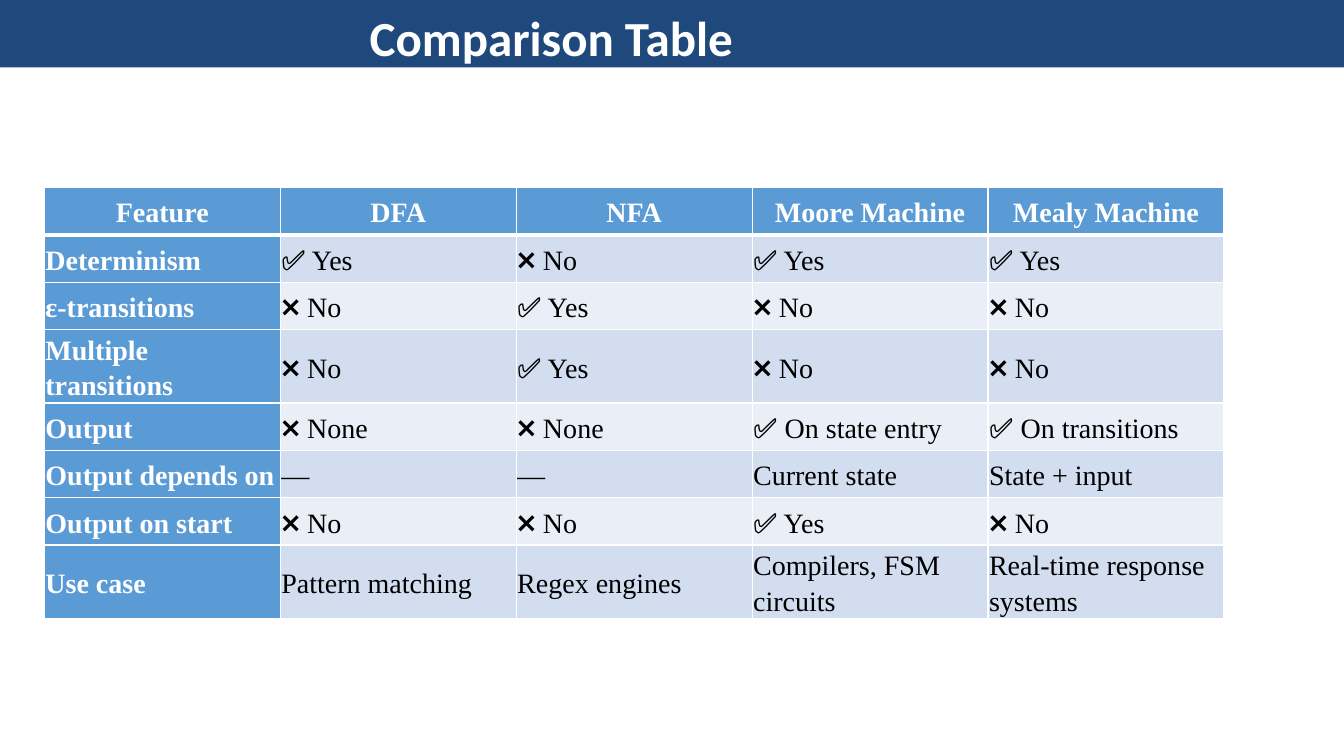
"""Build a slide comparing DFA, NFA, Moore and Mealy machines in a table."""
from dataclasses import dataclass

import lxml.etree
import pptx
import pptx.dml.color
import pptx.enum.shapes
import pptx.enum.text
import pptx.oxml.ns
import pptx.slide
import pptx.table
import pptx.text.text
import pptx.util

Inches = pptx.util.Inches
RGBColor = pptx.dml.color.RGBColor
Align = pptx.enum.text.PP_ALIGN
Anchor = pptx.enum.text.MSO_ANCHOR

NAVY = RGBColor(0x1F, 0x49, 0x7D)
BLUE = RGBColor(0x5B, 0x9B, 0xD5)
DARK_BAND = RGBColor(0xD2, 0xDE, 0xEF)
LIGHT_BAND = RGBColor(0xEA, 0xEF, 0xF7)
WHITE = RGBColor(0xFF, 0xFF, 0xFF)
BLACK = RGBColor(0x00, 0x00, 0x00)

COLUMN_WIDTH = 2.34
ROW_HEIGHT = 0.47
CELL_MARGIN = 0.01
YES = "✅ Yes"
NO = "❌ No"
NONE = "❌ None"


@dataclass(frozen=True)
class Feature:
    name: str
    dfa: str
    nfa: str
    moore: str
    mealy: str

    def texts(self) -> tuple[str, ...]:
        return self.name, self.dfa, self.nfa, self.moore, self.mealy


FEATURES = [
    Feature("Feature", "DFA", "NFA", "Moore Machine", "Mealy Machine"),
    Feature("Determinism", YES, NO, YES, YES),
    Feature("ε-transitions", NO, YES, NO, NO),
    Feature("Multiple transitions", NO, YES, NO, NO),
    Feature("Output", NONE, NONE, "✅ On state entry", "✅ On transitions"),
    Feature("Output depends on", "—", "—", "Current state", "State + input"),
    Feature("Output on start", NO, NO, YES, NO),
    Feature("Use case", "Pattern matching", "Regex engines",
            "Compilers, FSM circuits", "Real-time response systems"),
]


def write_text(frame: pptx.text.text.TextFrame, text: str, *, font: str, size: float,
               color: RGBColor, bold: bool, align: Align, spacing: float = 1.0) -> None:
    para = frame.paragraphs[0]
    para.alignment = align
    para.line_spacing = spacing
    span = para.add_run()
    span.text = text
    span.font.name = font
    span.font.size = pptx.util.Pt(size)
    span.font.bold = bold
    span.font.color.rgb = color


def add_border(cell: pptx.table._Cell, side: str, width: float) -> None:
    qn = pptx.oxml.ns.qn
    properties = cell._tc.get_or_add_tcPr()
    line = lxml.etree.SubElement(properties, qn(f"a:ln{side}"), w=str(pptx.util.Pt(width)))
    fill = lxml.etree.SubElement(line, qn("a:solidFill"))
    lxml.etree.SubElement(fill, qn("a:srgbClr"), val=str(WHITE))


def add_heading(page: pptx.slide.Slide) -> None:
    band = page.shapes.add_shape(pptx.enum.shapes.MSO_SHAPE.RECTANGLE, Inches(0),
                                 Inches(-0.03), Inches(13.33), Inches(0.7))
    band.shadow.inherit = False
    band.fill.solid()
    band.fill.fore_color.rgb = NAVY
    band.line.fill.background()

    title = page.shapes.title
    title.left, title.top = Inches(1.41), Inches(0.02)
    title.width, title.height = Inches(8.12), Inches(0.69)
    title.element.addprevious(band.element)
    frame = title.text_frame
    frame.auto_size = pptx.enum.text.MSO_AUTO_SIZE.NONE
    frame.vertical_anchor = Anchor.MIDDLE
    write_text(frame, "Comparison Table", font="Calibri", size=35,
               color=WHITE, bold=True, align=Align.CENTER)


def format_cell(cell: pptx.table._Cell, text: str, row: int, column: int) -> None:
    is_label = row == 0 or column == 0
    cell.margin_left = cell.margin_right = Inches(CELL_MARGIN)
    cell.margin_top = cell.margin_bottom = Inches(CELL_MARGIN)
    cell.vertical_anchor = Anchor.MIDDLE
    add_border(cell, "L", 1)
    add_border(cell, "R", 1)
    add_border(cell, "T", 3 if row == 1 else 1)
    add_border(cell, "B", 3 if row == 0 else 1)
    cell.fill.solid()
    cell.fill.fore_color.rgb = BLUE if is_label else DARK_BAND if row % 2 else LIGHT_BAND
    write_text(cell.text_frame, text, font="Times New Roman", size=20,
               color=WHITE if is_label else BLACK, bold=is_label,
               align=Align.CENTER if row == 0 else Align.LEFT, spacing=1.15)


def add_comparison(page: pptx.slide.Slide) -> None:
    rows, columns = len(FEATURES), len(FEATURES[0].texts())
    table = page.shapes.add_table(rows, columns, Inches(0.44), Inches(1.86),
                                  Inches(columns * COLUMN_WIDTH),
                                  Inches(rows * ROW_HEIGHT)).table
    for column in table.columns:
        column.width = Inches(COLUMN_WIDTH)
    for row, feature in enumerate(FEATURES):
        table.rows[row].height = Inches(ROW_HEIGHT)
        for column, text in enumerate(feature.texts()):
            format_cell(table.cell(row, column), text, row, column)


def main() -> None:
    deck = pptx.Presentation()
    deck.slide_width, deck.slide_height = Inches(13.33), Inches(7.5)
    page = deck.slides.add_slide(deck.slide_layouts.get_by_name("Title Only"))
    add_heading(page)
    add_comparison(page)
    deck.save("out.pptx")


if __name__ == "__main__":
    main()
